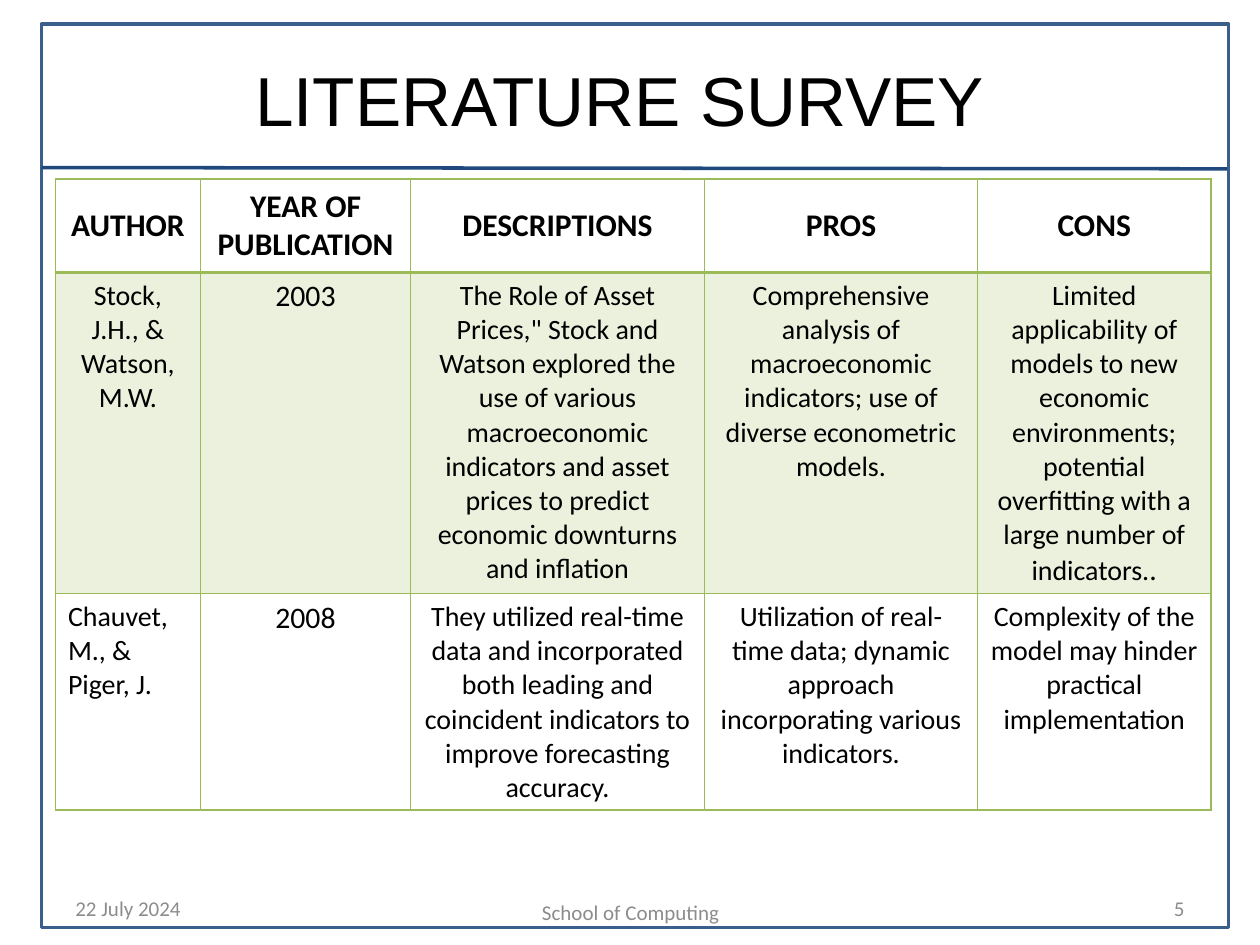
from lxml import etree
from pptx import Presentation, util as u
from pptx.dml.color import RGBColor
from pptx.enum import shapes, text
from pptx.oxml.ns import qn

# Content
TITLE = "LITERATURE SURVEY"
HEADERS = ["AUTHOR", "YEAR OF PUBLICATION", "DESCRIPTIONS", "PROS", "CONS"]
STUDIES = [
    [
        "Stock, J.H., & Watson, M.W.",
        "2003",
        'The Role of Asset Prices," Stock and Watson explored the use of various '
        "macroeconomic indicators and asset prices to predict economic downturns "
        "and inflation",
        "Comprehensive analysis of macroeconomic indicators; use of diverse "
        "econometric models.",
        "Limited applicability of models to new economic environments; potential "
        "overfitting with a large number of indicators.",
    ],
    [
        "Chauvet, M., & Piger, J.",
        "2008",
        "They utilized real-time data and incorporated both leading and coincident "
        "indicators to improve forecasting accuracy.",
        "Utilization of real-time data; dynamic approach incorporating various "
        "indicators.",
        "Complexity of the model may hinder practical implementation",
    ],
]
COLUMN_WIDTHS = [1.15, 1.67, 2.33, 2.17, 1.85]
ROW_HEIGHTS = [0.74, 2.55, 1.72]
LEFT, CENTER, RIGHT = text.PP_ALIGN.LEFT, text.PP_ALIGN.CENTER, text.PP_ALIGN.RIGHT
FOOTERS = [  # wording, left, top, width, alignment
    ("22 July 2024", 0.5, 7.01, 2.33, LEFT),
    ("School of Computing", 3.42, 7.04, 3.17, CENTER),
    ("5", 7.17, 7.01, 2.33, RIGHT),
]

THEME = {
    "title_font": "Arial", "body_font": "Calibri",
    "ink": "000000", "muted": "8C8C8C", "frame": "3A5F8C",
    "rule": "1F497D", "green": "9BBB59", "band_alpha": 20,
    "title": 39.6, "header": 18, "year": 17, "body": 16, "footer": 12,
}


def color(name):
    return RGBColor.from_string(THEME[name])


def add_run(paragraph, words, size, ink="ink", font="body_font", bold=False):
    run = paragraph.add_run()
    run.text = words
    run.font.size = u.Pt(THEME[size])
    run.font.name = THEME[font]
    run.font.bold = bold
    run.font.color.rgb = color(ink)


def add_label(slide, words, box, alignment, size, **style):
    shape = slide.shapes.add_textbox(*map(u.Inches, box))
    frame = shape.text_frame
    frame.word_wrap = True
    frame.vertical_anchor = text.MSO_ANCHOR.MIDDLE
    frame.paragraphs[0].alignment = alignment
    add_run(frame.paragraphs[0], words, size, **style)


def add_borders(cell, widths):
    properties = cell._tc.get_or_add_tcPr()
    for side, width in zip("LRTB", widths):
        line = etree.SubElement(properties, qn(f"a:ln{side}"), w=str(u.Pt(width)))
        fill = etree.SubElement(line, qn("a:solidFill"))
        etree.SubElement(fill, qn("a:srgbClr"), val=THEME["green"])


def fill_band(cell):
    cell.fill.solid()
    cell.fill.fore_color.rgb = color("green")
    tint = cell._tc.tcPr.find(qn("a:solidFill")).find(qn("a:srgbClr"))
    etree.SubElement(tint, qn("a:alpha"), val=str(THEME["band_alpha"] * 1000))


def add_survey_table(slide):
    rows = [HEADERS] + STUDIES
    box = (0.44, 1.42, sum(COLUMN_WIDTHS), sum(ROW_HEIGHTS))
    table = slide.shapes.add_table(len(rows), len(HEADERS), *map(u.Inches, box)).table
    table.first_row = table.horz_banding = False
    for column, width in zip(table.columns, COLUMN_WIDTHS):
        column.width = u.Inches(width)
    for row, height in zip(table.rows, ROW_HEIGHTS):
        row.height = u.Inches(height)

    for r, row in enumerate(rows):
        for c, words in enumerate(row):
            cell = table.cell(r, c)
            is_header = r == 0
            add_borders(cell, (1, 1, 2 if r == 1 else 1, 2 if is_header else 1))
            if r == 1:
                fill_band(cell)
            else:
                cell.fill.background()
            cell.vertical_anchor = (
                text.MSO_ANCHOR.MIDDLE if is_header else text.MSO_ANCHOR.TOP
            )
            paragraph = cell.text_frame.paragraphs[0]
            paragraph.alignment = LEFT if (r, c) == (2, 0) else CENTER
            size = "header" if is_header else "year" if c == 1 else "body"
            add_run(paragraph, words, size, bold=is_header)
    # The first study's cons end with a second, larger full stop
    add_run(table.cell(1, 4).text_frame.paragraphs[0], ".", "year")


def main():
    presentation = Presentation()
    presentation.slide_width, presentation.slide_height = u.Inches(10), u.Inches(7.5)
    slide = presentation.slides.add_slide(presentation.slide_layouts[6])

    # Page frame
    frame = slide.shapes.add_shape(
        shapes.MSO_SHAPE.RECTANGLE, *map(u.Inches, (0.33, 0.19, 9.42, 7.17))
    )
    frame.shadow.inherit = False
    frame.fill.background()
    frame.line.color.rgb = color("frame")
    frame.line.width = u.Pt(2)

    # Rule under the title
    rule = slide.shapes.add_connector(
        shapes.MSO_CONNECTOR.STRAIGHT, *map(u.Inches, (0.33, 1.33, 9.74, 1.34))
    )
    rule.line.color.rgb = color("rule")
    rule.line.width = u.Pt(2)
    etree.SubElement(rule._element.spPr, qn("a:effectLst"))

    # Title, footers and table
    add_label(slide, TITLE, (0.42, 0.42, 9, 0.72), CENTER, "title", font="title_font")
    for words, left, top, width, alignment in FOOTERS:
        add_label(slide, words, (left, top, width, 0.4), alignment, "footer", ink="muted")
    add_survey_table(slide)

    presentation.save("out.pptx")


if __name__ == "__main__":
    main()
